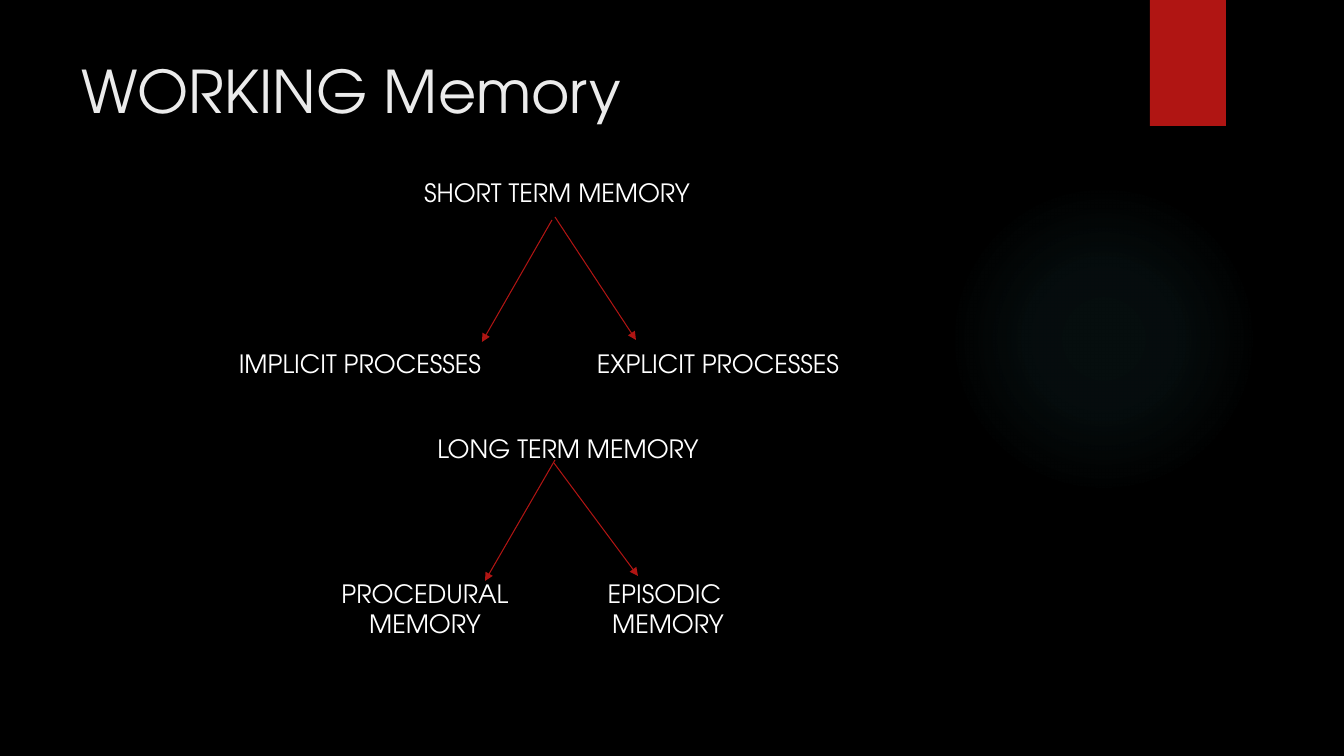
from lxml import etree
from pptx import Presentation
from pptx.dml.color import RGBColor
from pptx.enum.shapes import MSO_CONNECTOR, MSO_SHAPE
from pptx.enum.text import MSO_ANCHOR, PP_ALIGN
from pptx.oxml import parse_xml
from pptx.oxml.ns import nsdecls, qn
from pptx.util import Inches, Pt

PX = Inches(1) / 100.8
FONT = "TeX Gyre Adventor"
BLACK = RGBColor(0x00, 0x00, 0x00)
RED = RGBColor(0xB0, 0x15, 0x13)
WHITE = RGBColor(0xFF, 0xFF, 0xFF)
TITLE_GREY = RGBColor(0xEB, 0xEB, 0xEB)
GLOW = RGBColor(0x50, 0xB9, 0xC1)


def px(*values):
    return [round(v * PX) for v in values]


def add_text(left, top, width, height, text, size, color, align):
    tf = s.shapes.add_textbox(*px(left, top, width, height)).text_frame
    tf.word_wrap = True
    tf.vertical_anchor = MSO_ANCHOR.TOP
    tf.text = text
    for p in tf.paragraphs:
        p.alignment = align
        for r in p.runs:
            r.font.name = FONT
            r.font.size = Pt(size)
            r.font.color.rgb = color


prs = Presentation()
prs.slide_width, prs.slide_height = px(1344, 756)
s = prs.slides.add_slide(prs.slide_layouts[6])
s.background.fill.solid()
s.background.fill.fore_color.rgb = BLACK

# Soft glow: one colour fading out from the centre
glow = s.shapes.add_shape(MSO_SHAPE.OVAL, *px(949, 184, 310, 310))
glow.shadow.inherit = False
glow.line.fill.background()
stops = "".join(
    f'<a:gs pos="{pos * 1000}"><a:srgbClr val="{GLOW}">'
    f'<a:alpha val="{alpha * 1000}"/></a:srgbClr></a:gs>'
    for pos, alpha in [(0, 7), (36, 6), (69, 0), (100, 0)])
spPr = glow._element.spPr
spPr.find(qn("a:prstGeom")).addnext(parse_xml(
    f'<a:gradFill {nsdecls("a")}><a:gsLst>{stops}</a:gsLst><a:path path="circle">'
    '<a:fillToRect l="50000" t="50000" r="50000" b="50000"/></a:path></a:gradFill>'))

# Red tab at the top edge
tab = s.shapes.add_shape(MSO_SHAPE.RECTANGLE, *px(1150, 0, 76, 126))
tab.shadow.inherit = False
tab.fill.solid()
tab.fill.fore_color.rgb = RED
tab.line.fill.background()

# Title
add_text(72, 50, 1037, 154, "WORKING Memory", 42, TITLE_GREY, PP_ALIGN.LEFT)

# Memory types and their branches
labels = [
    (406, 172, 40, "SHORT TERM MEMORY"),
    (209, 343, 40, "IMPLICIT PROCESSES"),
    (567, 343, 40, "EXPLICIT PROCESSES"),
    (417, 428, 40, "LONG TERM MEMORY"),
    (274, 573, 72, "PROCEDURAL MEMORY"),
    (517, 573, 72, "EPISODIC \nMEMORY"),
]
for left, top, height, text in labels:
    add_text(left, top, 302, height, text, 18, WHITE, PP_ALIGN.CENTER)

# Arrows from each memory type to its branches
arrows = [
    (552, 220, 482, 342),
    (555, 217, 636, 340),
    (554, 463, 638, 576),
    (555, 460, 485, 581),
]
for ends in arrows:
    arrow = s.shapes.add_connector(MSO_CONNECTOR.STRAIGHT, *px(*ends))
    arrow.line.color.rgb = RED
    arrow.line.width = Pt(0.75)
    etree.SubElement(arrow.line._get_or_add_ln(), qn("a:tailEnd"), type="triangle")
    etree.SubElement(arrow._element.spPr, qn("a:effectLst"))

prs.save("out.pptx")
